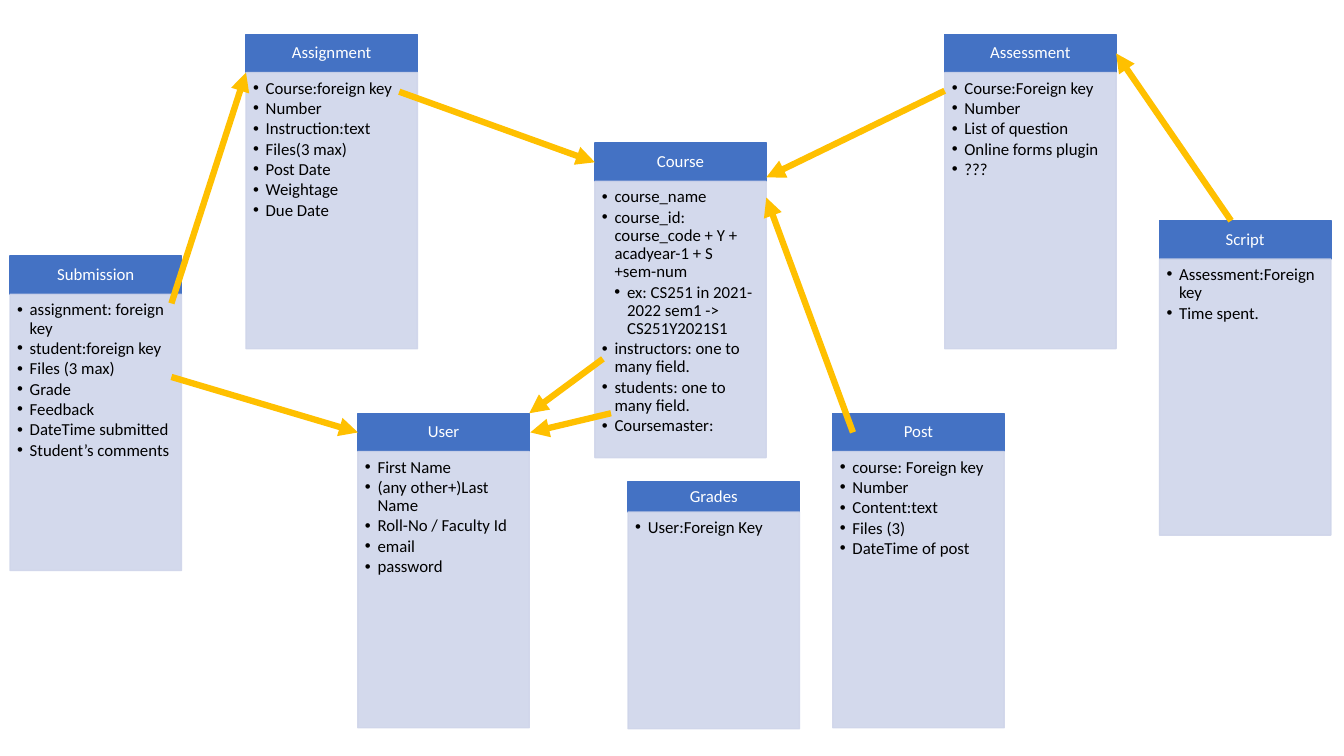
import pptx
import pptx.util
import pptx.dml.color
import pptx.enum.shapes
import pptx.enum.text
import pptx.oxml
import pptx.oxml.ns
import lxml.etree

Inches = pptx.util.Inches
Pt = pptx.util.Pt
qn = pptx.oxml.ns.qn

HEADER_BLUE, BODY_BLUE, ARROW_GOLD = "4472C4", "CFD5EA", "FFC000"
WHITE, BLACK = "FFFFFF", "000000"
BOX_WIDTH, HEADER_HEIGHT, BODY_HEIGHT = 1.7, 0.38, 2.74
BULLET_INDENT = 0.125

ENTITIES = [
    ("Course", 5.9, 1.42, [
        "course_name",
        "course_id: course_code + Y + acadyear-1 + S +sem-num",
        ("ex: CS251 in 2021-2022 sem1 -> CS251Y2021S1", 2),
        "instructors: one to many field.",
        "students: one to many field.",
        "Coursemaster:"]),
    ("User", 3.55, 4.1, [
        "First Name", "(any other+)Last Name", "Roll-No / Faculty Id",
        "email", "password"]),
    ("Assignment", 2.44, 0.34, [
        "Course:foreign key", "Number", "Instruction:text", "Files(3 max)",
        "Post Date", "Weightage", "Due Date"]),
    ("Submission", 0.1, 2.54, [
        "assignment: foreign key", "student:foreign key", "Files (3 max)",
        "Grade", "Feedback", "DateTime submitted", "Student’s comments"]),
    ("Post", 8.26, 4.1, [
        "course: Foreign key", "Number", "Content:text", "Files (3)",
        "DateTime of post"]),
    ("Assessment", 9.37, 0.34, [
        "Course:Foreign key", "Number", "List of question",
        "Online forms plugin", "???"]),
    ("Script", 11.5, 2.19, ["Assessment:Foreign key", "Time spent."]),
    ("Grades", 6.23, 4.78, ["User:Foreign Key"]),
]
HEIGHTS = {"Grades": (0.3, 2.15)}

RELATIONS = [
    ((3.96, 0.91), (5.9, 1.61)),
    ((9.37, 0.9), (7.6, 1.76)),
    ((12.21, 2.19), (11.07, 0.53)),
    ((8.46, 4.29), (7.6, 1.96)),
    ((6.06, 4.1), (5.26, 4.29)),
    ((5.98, 3.56), (5.25, 4.1)),
    ((1.7, 3.01), (2.44, 0.72)),
    ((1.7, 3.74), (3.55, 4.29)),
]


def rgb(code):
    return pptx.dml.color.RGBColor.from_string(code)


def add_box(left, top, height, color, margins, anchor):
    box = slide.shapes.add_shape(
        pptx.enum.shapes.MSO_SHAPE.RECTANGLE,
        Inches(left), Inches(top), Inches(BOX_WIDTH), Inches(height))
    box.shadow.inherit = False
    box.fill.solid()
    box.fill.fore_color.rgb = rgb(color)
    box.line.color.rgb = rgb(color)
    box.line.width = Pt(1)
    frame = box.text_frame
    frame.word_wrap = True
    frame.vertical_anchor = anchor
    (frame.margin_left, frame.margin_top,
     frame.margin_right, frame.margin_bottom) = map(Inches, margins)
    return box


def style(paragraph, text, color, alignment, space_after):
    paragraph.text = text
    paragraph.alignment = alignment
    paragraph.line_spacing = 0.9
    paragraph.space_after = Pt(space_after)
    paragraph.font.size = Pt(12)
    paragraph.font.name = "Calibri"
    paragraph.font.color.rgb = rgb(color)


def add_bullet(paragraph, level):
    paragraph.level = level - 1
    properties = paragraph._p.get_or_add_pPr()
    properties.set("marL", str(Inches(BULLET_INDENT * level)))
    properties.set("indent", str(-Inches(BULLET_INDENT)))
    lxml.etree.SubElement(properties, qn("a:buFont")).set("typeface", "Arial")
    lxml.etree.SubElement(properties, qn("a:buChar")).set("char", "•")


def add_entity(name, left, top, fields):
    header_height, body_height = HEIGHTS.get(name, (HEADER_HEIGHT, BODY_HEIGHT))
    header = add_box(left, top, header_height, HEADER_BLUE,
                     (0.09, 0.05, 0.09, 0.05), pptx.enum.text.MSO_ANCHOR.MIDDLE)
    style(header.text_frame.paragraphs[0], name, WHITE,
          pptx.enum.text.PP_ALIGN.CENTER, 4.2)

    body = add_box(left, top + header_height, body_height, BODY_BLUE,
                   (0.07, 0.07, 0.09, 0.1), pptx.enum.text.MSO_ANCHOR.TOP)
    for color in body._element.spPr.iter(qn("a:srgbClr")):
        lxml.etree.SubElement(color, qn("a:alpha")).set("val", "90000")
    frame = body.text_frame
    for index, field in enumerate(fields):
        text, level = (field, 1) if isinstance(field, str) else field
        paragraph = frame.add_paragraph() if index else frame.paragraphs[0]
        style(paragraph, text, BLACK, pptx.enum.text.PP_ALIGN.LEFT, 1.6)
        add_bullet(paragraph, level)


def add_arrow(start, end):
    arrow = slide.shapes.add_connector(
        pptx.enum.shapes.MSO_CONNECTOR.STRAIGHT, *map(Inches, start + end))
    arrow.line.color.rgb = rgb(ARROW_GOLD)
    arrow.line.width = Pt(4.5)
    line = arrow.line._get_or_add_ln()
    lxml.etree.SubElement(line, qn("a:tailEnd")).set("type", "triangle")
    lxml.etree.SubElement(arrow._element.spPr, qn("a:effectLst"))


deck = pptx.Presentation()
deck.slide_width, deck.slide_height = Inches(13.33), Inches(7.5)
slide = deck.slides.add_slide(deck.slide_layouts[6])

for entity in ENTITIES:
    add_entity(*entity)
for relation in RELATIONS:
    add_arrow(*relation)

deck.save("out.pptx")
